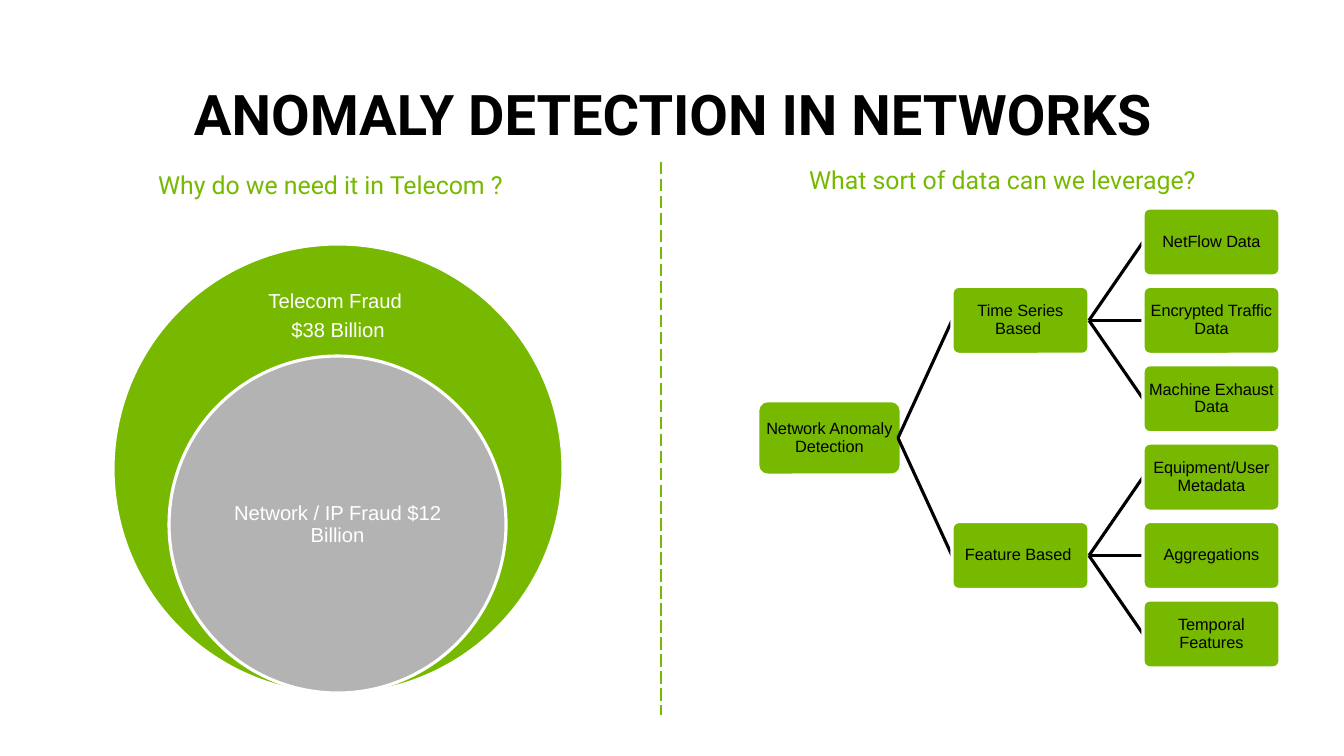
from dataclasses import dataclass

from pptx import Presentation
from pptx.dml.color import RGBColor
from pptx.enum.dml import MSO_LINE
from pptx.enum.shapes import MSO_CONNECTOR, MSO_SHAPE
from pptx.enum.text import MSO_ANCHOR, MSO_AUTO_SIZE, PP_ALIGN
from pptx.oxml.ns import qn
from pptx.util import Emu, Pt

# Content
TITLE = "ANOMALY DETECTION IN NETWORKS"
HEADINGS = [  # text, box in px
    ("Why do we need it in Telecom ?", (0, 167, 661, 64)),
    ("What sort of data can we leverage?", (672, 162, 661, 64)),
]
TELECOM_FRAUD = ["Telecom Fraud ", "$38 Billion"]
NETWORK_FRAUD = ["Network / IP Fraud $12 Billion"]
DATA_TREE = ("Network Anomaly Detection", [
    ("Time Series Based ", [
        ("NetFlow Data", []),
        ("Encrypted Traffic Data", []),
        ("Machine Exhaust Data", []),
    ]),
    ("Feature Based ", [
        ("Equipment/User Metadata", []),
        ("Aggregations", []),
        ("Temporal Features", []),
    ]),
])

# Tree grid in px
TREE_LEFT, COLUMN_PITCH = 761, 191
LEAF_TOP, LEAF_PITCH = 208, 78.4
NODE_WIDTH, NODE_HEIGHT = 137, 68


@dataclass(frozen=True)
class Theme:
    green: RGBColor = RGBColor(0x76, 0xB9, 0x00)
    grey: RGBColor = RGBColor(0xB3, 0xB3, 0xB3)
    black: RGBColor = RGBColor(0, 0, 0)
    white: RGBColor = RGBColor(255, 255, 255)
    heading_font: str = "Roboto"
    body_font: str = "Arial"
    title_size: float = 36
    heading_size: float = 16
    circle_size: float = 13
    node_size: float = 10.5


THEME = Theme()


def px(length):
    return Emu(round(length * 914400 / 112))


def write(frame, lines, font, size, color, inset=(11, 6), anchor=MSO_ANCHOR.MIDDLE,
          bold=False, gap=0):
    frame.word_wrap = True
    frame.auto_size = MSO_AUTO_SIZE.NONE
    frame.vertical_anchor = anchor
    frame.margin_left = frame.margin_right = px(inset[0])
    frame.margin_top = frame.margin_bottom = px(inset[1])
    for index, line in enumerate(lines):
        para = frame.add_paragraph() if index else frame.paragraphs[0]
        para.alignment = PP_ALIGN.CENTER
        para.line_spacing = 0.9
        para.space_before = Pt(gap if index else 0)
        span = para.add_run()
        span.text = line
        span.font.name, span.font.size, span.font.bold = font, Pt(size), bold
        span.font.color.rgb = color


def add_text(page, area, lines, **style):
    box = page.shapes.add_textbox(*map(px, area))
    write(box.text_frame, lines, **style)


def add_filled(page, kind, area, fill, outline):
    shape = page.shapes.add_shape(kind, *map(px, area))
    shape.shadow.inherit = False
    shape.fill.solid()
    shape.fill.fore_color.rgb = fill
    shape.line.color.rgb = outline
    shape.line.width = Pt(2)
    return shape


def add_line(page, start, end, color, width):
    line = page.shapes.add_connector(MSO_CONNECTOR.STRAIGHT, *map(px, start + end))
    line.line.color.rgb = color
    line.line.width = Pt(width)
    properties = line.element.spPr
    properties.append(properties.makeelement(qn("a:effectLst"), {}))
    return line


def place(node, depth, rows):
    """Give each leaf the next row and centre each parent on its children."""
    label, children = node
    placed = [place(child, depth + 1, rows) for child in children]
    if placed:
        middle = sum(child[2] for child in placed) / len(placed)
    else:
        middle = LEAF_TOP + NODE_HEIGHT / 2 + next(rows) * LEAF_PITCH
    return label, TREE_LEFT + depth * COLUMN_PITCH, middle, placed


def draw_node(page, node, is_root=False):
    label, left, middle, children = node
    area = (left, middle - NODE_HEIGHT / 2, NODE_WIDTH, NODE_HEIGHT)
    outline = THEME.green if is_root else THEME.white
    shape = add_filled(page, MSO_SHAPE.ROUNDED_RECTANGLE, area, THEME.green, outline)
    shape.adjustments[0] = 0.1
    write(shape.text_frame, [label], THEME.body_font, THEME.node_size, THEME.black,
          inset=(3, 3))
    for child in children:
        add_line(page, (left + NODE_WIDTH, middle), (child[1], child[2]), THEME.black, 2)
        draw_node(page, child)


def main():
    deck = Presentation()
    deck.slide_width, deck.slide_height = px(1344), px(756)
    page = deck.slides.add_slide(deck.slide_layouts[5])

    # Title
    title = page.shapes.title
    title.left, title.top, title.width, title.height = map(px, (62, 81, 1222, 73))
    write(title.text_frame, [TITLE], THEME.heading_font, THEME.title_size, THEME.black,
          anchor=MSO_ANCHOR.BOTTOM, bold=True)

    # Data tree
    draw_node(page, place(DATA_TREE, 0, iter(range(6))), is_root=True)

    # Nested fraud circles
    add_filled(page, MSO_SHAPE.OVAL, (113, 244, 450, 450), THEME.green, THEME.white)
    add_text(page, (220, 278, 236, 76), TELECOM_FRAUD, font=THEME.body_font,
             size=THEME.circle_size, color=THEME.white, inset=(11, 11), gap=4.5)
    inner = add_filled(page, MSO_SHAPE.OVAL, (169, 356, 337, 337), THEME.grey, THEME.white)
    write(inner.text_frame, NETWORK_FRAUD, THEME.body_font, THEME.circle_size,
          THEME.white, inset=(11, 11))

    # Divider and headings
    divider = add_line(page, (661, 162), (661, 715), THEME.green, 1)
    divider.line.dash_style = MSO_LINE.LONG_DASH
    for text, area in HEADINGS:
        add_text(page, area, [text], font=THEME.heading_font, size=THEME.heading_size,
                 color=THEME.green, anchor=MSO_ANCHOR.TOP)

    deck.save("out.pptx")


if __name__ == "__main__":
    main()
